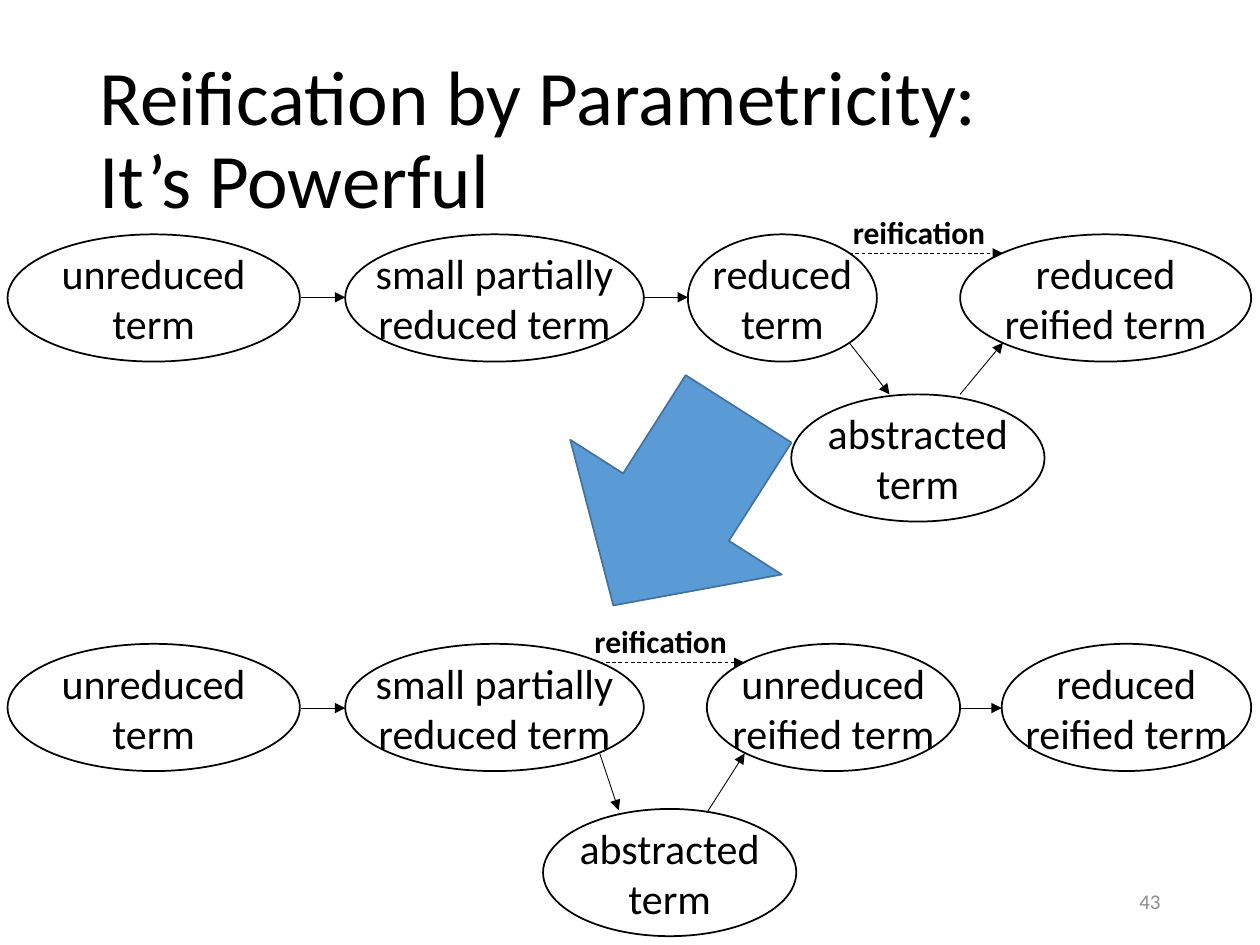
from lxml import etree
from pptx import Presentation
from pptx import util as u
from pptx.dml.color import RGBColor
from pptx.enum import dml, shapes, text
from pptx.oxml import ns

COLORS = {
    "ink": "000000",
    "paper": "FFFFFF",
    "number": "8C8C8C",
    "arrow": "5B9BD5",
    "arrow_edge": "43739E",
}
NODE_HEIGHT = 1.01
TOP_ROW, BOTTOM_ROW = 1.86, 5.11

# Text, left, top, width; \v breaks a line, \n starts a paragraph
NODES = [
    ("reduced\vterm", 5.46, TOP_ROW, 1.5),
    ("abstracted\vterm", 6.28, 3.13, 2.01),
    ("reduced\nreified term", 7.62, TOP_ROW, 2.31),
    ("unreduced\vreified term", 5.61, BOTTOM_ROW, 2.01),
    ("abstracted\vterm", 4.31, 6.42, 2.01),
    ("reduced\nreified term", 7.95, BOTTOM_ROW, 1.98),
]
# The first two steps are the same in both rows
for row in (TOP_ROW, BOTTOM_ROW):
    NODES += [
        ("unreduced\vterm", 0.06, row, 2.32),
        ("small partially\vreduced term", 2.74, row, 2.37),
    ]

# Start x, start y, end x, end y
STEPS = [
    (2.39, 2.36, 2.74, 2.36),
    (5.1, 2.36, 5.46, 2.36),
    (6.74, 2.72, 7.06, 3.13),
    (7.62, 3.13, 7.96, 2.72),
    (2.39, 5.62, 2.74, 5.62),
    (7.62, 5.62, 7.95, 5.62),
    (4.76, 5.98, 4.91, 6.43),
    (5.61, 6.45, 5.91, 5.98),
]
SHORTCUTS = [(6.74, 2.01, 7.96, 2.01), (4.76, 5.26, 5.91, 5.26)]
LABELS = [(6.67, 1.64), (4.62, 4.89)]


def color(name):
    return RGBColor.from_string(COLORS[name])


def inches(*lengths):
    return [u.Inches(length) for length in lengths]


def write(shape, content, size, ink="ink", bold=False, align=text.PP_ALIGN.LEFT,
          anchor=text.MSO_ANCHOR.MIDDLE, wrap=True, spacing=None):
    frame = shape.text_frame
    frame.text = content
    frame.auto_size = text.MSO_AUTO_SIZE.NONE
    frame.word_wrap = wrap
    frame.vertical_anchor = anchor
    for para in frame.paragraphs:
        para.alignment = align
        para.line_spacing = spacing
        for span in para.runs:
            span.font.name = "Calibri"
            span.font.size = u.Pt(size)
            span.font.bold = bold
            span.font.color.rgb = color(ink)


def add_text(page, content, place, size, **options):
    box = page.shapes.add_textbox(*inches(*place))
    write(box, content, size, **options)


def add_figure(page, kind, place, fill, line):
    figure = page.shapes.add_shape(kind, *inches(*place))
    figure.shadow.inherit = False
    figure.fill.solid()
    figure.fill.fore_color.rgb = color(fill)
    figure.line.color.rgb = color(line)
    figure.line.width = u.Pt(1)
    return figure


def add_node(page, content, left, top, width):
    node = add_figure(page, shapes.MSO_SHAPE.OVAL,
                      (left, top, width, NODE_HEIGHT), "paper", "ink")
    write(node, content, 24, align=text.PP_ALIGN.CENTER, wrap=False)


def add_arrow(page, ends, dashed=False):
    arrow = page.shapes.add_connector(shapes.MSO_CONNECTOR.STRAIGHT, *inches(*ends))
    arrow.line.color.rgb = color("ink")
    arrow.line.width = u.Pt(0.5)
    if dashed:
        arrow.line.dash_style = dml.MSO_LINE.DASH
    properties = arrow.line._get_or_add_ln()
    etree.SubElement(properties, ns.qn("a:tailEnd"), type="triangle")
    etree.SubElement(properties.getparent(), ns.qn("a:effectLst"))


def add_title(page, content):
    title = page.shapes.title
    title.left, title.top, title.width, title.height = inches(0.69, 0.4, 9.31, 1.45)
    write(title, content, 44, spacing=0.9)


def main():
    deck = Presentation()
    deck.slide_width, deck.slide_height = inches(10, 7.5)
    page = deck.slides.add_slide(deck.slide_layouts[5])

    add_title(page, "Reification by Parametricity:\vIt’s Powerful")
    add_text(page, "43", (7.06, 6.95, 2.25, 0.4), 12, ink="number",
             align=text.PP_ALIGN.RIGHT)
    for node in NODES:
        add_node(page, *node)
    for ends in STEPS:
        add_arrow(page, ends)
    for ends in SHORTCUTS:
        add_arrow(page, ends, dashed=True)
    big_arrow = add_figure(page, shapes.MSO_SHAPE.DOWN_ARROW,
                           (4.37, 3.1, 1.99, 1.85), "arrow", "arrow_edge")
    big_arrow.rotation = 32.5
    for left, top in LABELS:
        add_text(page, "reification", (left, top, 1.26, 0.4), 18, bold=True,
                 anchor=text.MSO_ANCHOR.TOP, wrap=False)

    deck.save("out.pptx")


if __name__ == "__main__":
    main()
